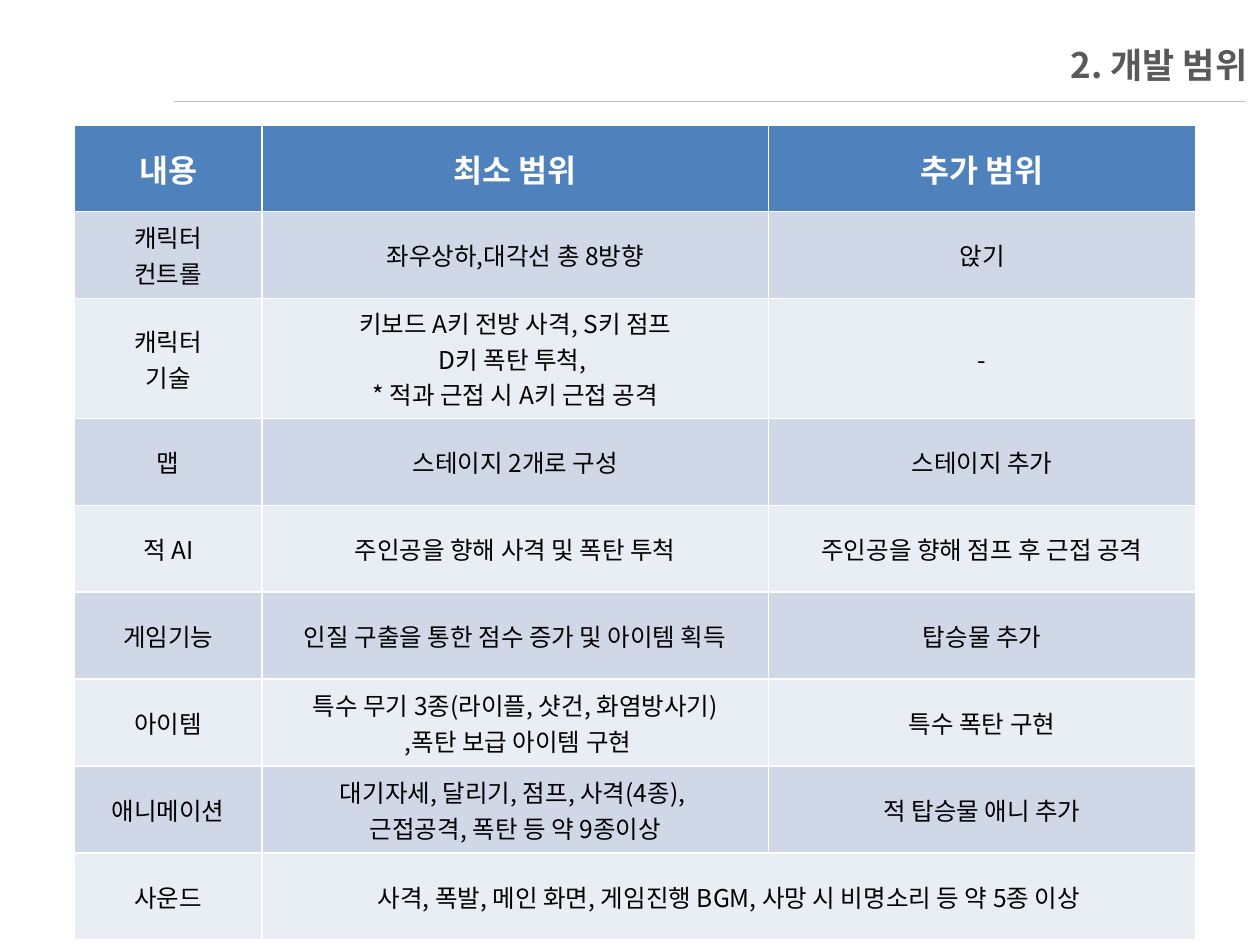
from lxml.etree import SubElement
from pptx import Presentation
from pptx.dml.color import RGBColor
from pptx.enum.dml import MSO_LINE_DASH_STYLE as Dash
from pptx.enum.shapes import MSO_CONNECTOR as Connector
from pptx.enum.text import MSO_ANCHOR as Anchor, PP_ALIGN as Align
from pptx.oxml.ns import qn
from pptx.util import Inches, Pt

TITLE = "2. 개발 범위"
HEADINGS = ["내용", "최소 범위", "추가 범위"]
SCOPE = [
    ["캐릭터\n컨트롤", "좌우상하,대각선 총 8방향", "앉기"],
    ["캐릭터\n기술",
     "키보드 A키 전방 사격, S키 점프\nD키 폭탄 투척, \n* 적과 근접 시 A키 근접 공격", "-"],
    ["맵", "스테이지 2개로 구성", "스테이지 추가"],
    ["적 AI", "주인공을 향해 사격 및 폭탄 투척", "주인공을 향해 점프 후 근접 공격"],
    ["게임기능", "인질 구출을 통한 점수 증가 및 아이템 획득", "탑승물 추가"],
    ["아이템",
     "특수 무기 3종(라이플, 샷건, 화염방사기)\n ,폭탄 보급 아이템 구현", "특수 폭탄 구현"],
    ["애니메이션",
     "대기자세, 달리기, 점프, 사격(4종), \n근접공격, 폭탄 등 약 9종이상", "적 탑승물 애니 추가"],
    ["사운드", "사격, 폭발, 메인 화면, 게임진행 BGM, 사망 시 비명소리 등 약 5종 이상"],
]
COLORS = {
    "header": "4F81BD", "band_dark": "D0D8E8", "band_light": "E9EDF4",
    "white": "FFFFFF", "black": "000000", "rule": "BFBFBF",
    "title_start": "595959", "title_end": "262626",
}
FONT = "Noto Sans CJK KR"
COLUMN_WIDTHS = [1.49, 4.02, 3.39]
ROW_HEIGHT = 0.69


def rgb(name):
    return RGBColor.from_string(COLORS[name])


def write(frame, text, size=14, bold=False, align=Align.CENTER, color="black", fade_to=None):
    frame.text = text
    frame.word_wrap = True
    for paragraph in frame.paragraphs:
        paragraph.alignment = align
        for run in paragraph.runs:
            font = run.font
            font.name, font.size, font.bold = FONT, Pt(size), bold
            if fade_to:
                font.fill.gradient()
                font.fill.gradient_angle = 90
                for stop, shade in zip(font.fill.gradient_stops, (color, fade_to)):
                    stop.color.rgb = rgb(shade)
            else:
                font.color.rgb = rgb(color)
            latin = font._element.find(qn("a:latin"))
            east_asian = SubElement(font._element, qn("a:ea"), typeface=FONT)
            latin.addnext(east_asian)


def add_title(slide):
    title = slide.shapes.title
    title.left, title.top = Inches(1), Inches(0.29)
    title.width, title.height = Inches(9), Inches(0.45)
    write(title.text_frame, TITLE, size=20, bold=True, align=Align.RIGHT,
          color="title_start", fade_to="title_end")
    title.text_frame.vertical_anchor = Anchor.MIDDLE


def add_rule(slide):
    rule = slide.shapes.add_connector(
        Connector.STRAIGHT, Inches(1.38), Inches(0.8), Inches(9.88), Inches(0.8))
    rule.line.color.rgb = rgb("rule")
    rule.line.width = Pt(0.25)
    rule.line.dash_style = Dash.ROUND_DOT
    SubElement(rule._element.spPr, qn("a:effectLst"))


def add_scope_table(slide):
    rows = [HEADINGS] + SCOPE
    table = slide.shapes.add_table(
        len(rows), len(HEADINGS), Inches(0.59), Inches(0.99),
        Inches(sum(COLUMN_WIDTHS)), Inches(ROW_HEIGHT * len(rows))).table
    for column, width in zip(table.columns, COLUMN_WIDTHS):
        column.width = Inches(width)
    for r, texts in enumerate(rows):
        table.rows[r].height = Inches(ROW_HEIGHT)
        band = "header" if r == 0 else "band_dark" if r % 2 else "band_light"
        for c in range(len(HEADINGS)):
            cell = table.cell(r, c)
            cell.fill.solid()
            cell.fill.fore_color.rgb = rgb(band)
            cell.vertical_anchor = Anchor.MIDDLE
        for c, text in enumerate(texts):
            style = dict(size=18, bold=True, color="white") if r == 0 else {}
            write(table.cell(r, c).text_frame, text, **style)
        if len(texts) < len(HEADINGS):
            table.cell(r, len(texts) - 1).merge(table.cell(r, len(HEADINGS) - 1))


def main():
    deck = Presentation()
    deck.slide_width, deck.slide_height = Inches(10), Inches(7.5)
    slide = deck.slides.add_slide(deck.slide_layouts[5])
    add_rule(slide)
    add_title(slide)
    add_scope_table(slide)
    deck.save("out.pptx")


if __name__ == "__main__":
    main()
